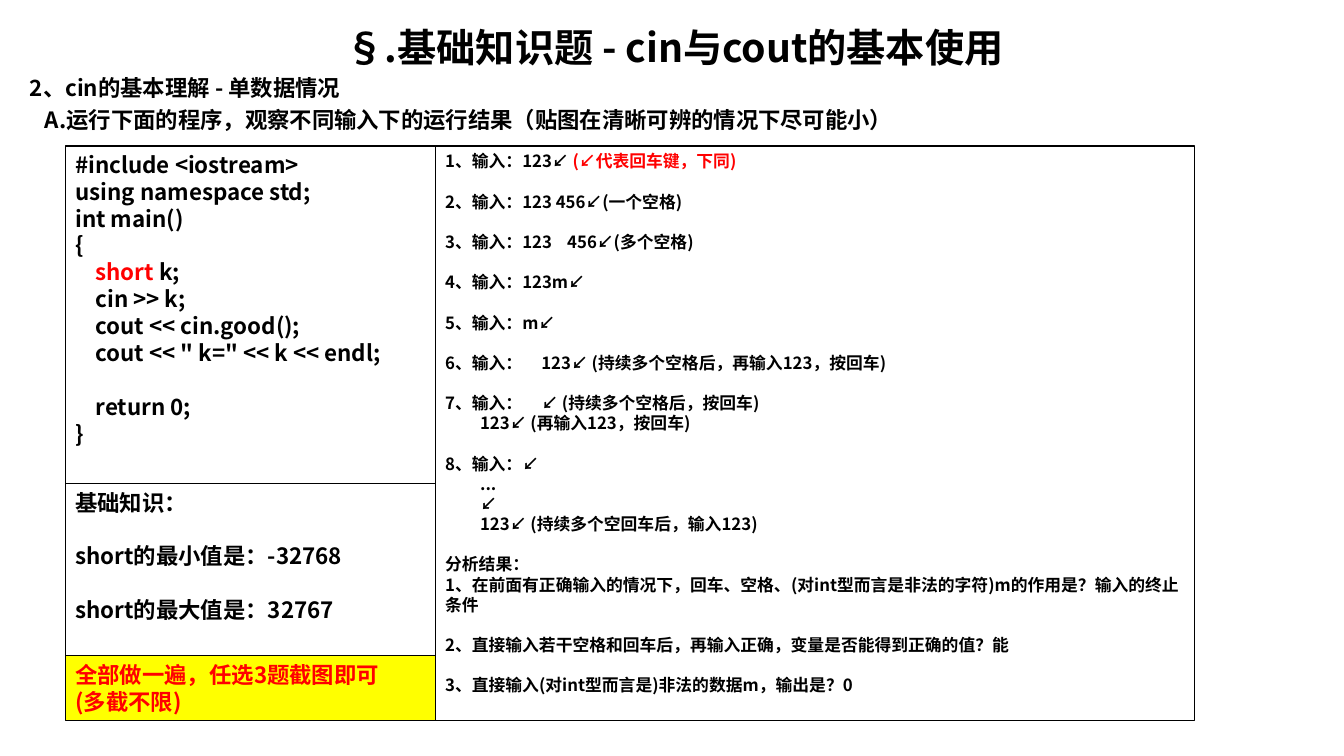
from dataclasses import dataclass

from lxml import etree
from pptx import Presentation, util as u
from pptx.dml import color
from pptx.enum import shapes, text
from pptx.oxml import ns


@dataclass(frozen=True)
class Theme:
    font: str = "Noto Sans CJK SC"
    ink: str = "000000"
    accent: str = "FF0000"
    highlight: str = "FFFF00"
    title: int = 28
    body: int = 16
    small: int = 12
    leading: float = 1.2
    border: float = 0.75


@dataclass(frozen=True)
class Box:
    left: float
    top: float
    width: float
    height: float

    def place(self, shape):
        shape.left, shape.top = u.Cm(self.left), u.Cm(self.top)
        shape.width, shape.height = u.Cm(self.width), u.Cm(self.height)


@dataclass(frozen=True)
class Line:
    runs: tuple
    indent: float = 0
    gap: float = 0


THEME = Theme()


def line(*runs, indent=0, gap=0):
    return Line(runs, indent, gap)


def accent(words):
    return words, THEME.accent


CODE = [
    line("#include <iostream>"),
    line("using namespace std;"),
    line("int main()"),
    line("{"),
    line("    ", accent("short"), " k;"),
    line("    cin >> k;"),
    line("    cout << cin.good();"),
    line('    cout << " k=" << k << endl;'),
    line("    return 0;", gap=1),
    line("}"),
]
FACTS = [
    line("基础知识："),
    line("short的最小值是：-32768", gap=1),
    line("short的最大值是：32767", gap=1),
]
NOTE = [line(accent("全部做一遍，任选3题截图即可")), line(accent("(多截不限)"))]
STEP = 0.88
QUESTIONS = [
    line("1、输入：123↙", accent(" (↙代表回车键，下同)")),
    line("2、输入：123 456↙(一个空格)", gap=1),
    line("3、输入：123    456↙(多个空格)", gap=1),
    line("4、输入：123m↙", gap=1),
    line("5、输入：m↙", gap=1),
    line("6、输入：     123↙ (持续多个空格后，再输入123，按回车)", gap=1),
    line("7、输入：     ↙ (持续多个空格后，按回车)", gap=1),
    line("123↙ (再输入123，按回车)", indent=STEP),
    line("8、输入：↙", gap=1),
    line("...", indent=STEP),
    line("↙", indent=STEP),
    line("123↙ (持续多个空回车后，输入123)", indent=STEP),
    line("分析结果：", gap=1),
    line("1、在前面有正确输入的情况下，回车、空格、(对int型而言是非法的字符)m的作用是？输入的终止条件"),
    line("2、直接输入若干空格和回车后，再输入正确，变量是否能得到正确的值？能", gap=1),
    line("3、直接输入(对int型而言是)非法的数据m，输出是？0", gap=1),
]
HEADINGS = [
    line("2、cin的基本理解 - 单数据情况"),
    line("A.运行下面的程序，观察不同输入下的运行结果（贴图在清晰可辨的情况下尽可能小）",
         indent=0.38, gap=1 / 6),
]


def add_run(paragraph, words, size, ink):
    run = paragraph.add_run()
    run.text = words
    run.font.name = THEME.font
    run.font.size = u.Pt(size)
    run.font.bold = True
    run.font.color.rgb = color.RGBColor.from_string(ink)
    east_asian = etree.SubElement(run.font._element, ns.qn("a:ea"))
    east_asian.set("typeface", THEME.font)


def write_lines(shape, lines, size, align=text.PP_ALIGN.LEFT):
    frame = shape.text_frame
    frame.word_wrap = True
    frame.auto_size = text.MSO_AUTO_SIZE.NONE
    frame.vertical_anchor = text.MSO_ANCHOR.TOP
    pitch = size * THEME.leading
    for index, entry in enumerate(lines):
        paragraph = frame.add_paragraph() if index else frame.paragraphs[0]
        properties = paragraph._p.get_or_add_pPr()
        properties.set("marL", str(int(u.Cm(entry.indent))))
        properties.set("indent", "0")
        etree.SubElement(properties, ns.qn("a:buNone"))
        paragraph.alignment = align
        paragraph.line_spacing = u.Pt(pitch)
        paragraph.space_before = u.Pt(entry.gap * pitch)
        for run in entry.runs:
            words, ink = (run, THEME.ink) if isinstance(run, str) else run
            add_run(paragraph, words, size, ink)


def add_header(slide, box):
    title, headings = slide.shapes.title, slide.placeholders[1]
    title_height = 1.29
    Box(box.left, box.top, box.width, title_height).place(title)
    Box(box.left, box.top + title_height, box.width, box.height - title_height).place(headings)
    write_lines(title, [line("§.基础知识题 - cin与cout的基本使用")], THEME.title,
                text.PP_ALIGN.CENTER)
    write_lines(headings, HEADINGS, THEME.body)


def add_panel(slide, box, lines, size, fill=None):
    shape = slide.shapes.add_shape(shapes.MSO_SHAPE.RECTANGLE, 0, 0, 0, 0)
    box.place(shape)
    shape.shadow.inherit = False
    if fill:
        shape.fill.solid()
        shape.fill.fore_color.rgb = color.RGBColor.from_string(fill)
    else:
        shape.fill.background()
    shape.line.color.rgb = color.RGBColor.from_string(THEME.ink)
    shape.line.width = u.Pt(THEME.border)
    write_lines(shape, lines, size)


def add_exercise(slide, box):
    left_width = 9.32
    note_height = 1.63
    facts_height = 4.34
    code_height = box.height - facts_height - note_height
    top = box.top
    for lines, height, fill in (
        (CODE, code_height, None),
        (FACTS, facts_height, None),
        (NOTE, note_height, THEME.highlight),
    ):
        add_panel(slide, Box(box.left, top, left_width, height), lines, THEME.body, fill)
        top += height
    right = Box(box.left + left_width, box.top, box.width - left_width, box.height)
    add_panel(slide, right, QUESTIONS, THEME.small)


def main():
    presentation = Presentation()
    presentation.slide_width, presentation.slide_height = u.Cm(33.87), u.Cm(19.05)
    slide = presentation.slides.add_slide(presentation.slide_layouts[1])
    add_header(slide, Box(0.5, 0.46, 33, 3.1))
    add_exercise(slide, Box(1.65, 3.68, 28.45, 14.48))
    presentation.save("out.pptx")


if __name__ == "__main__":
    main()
